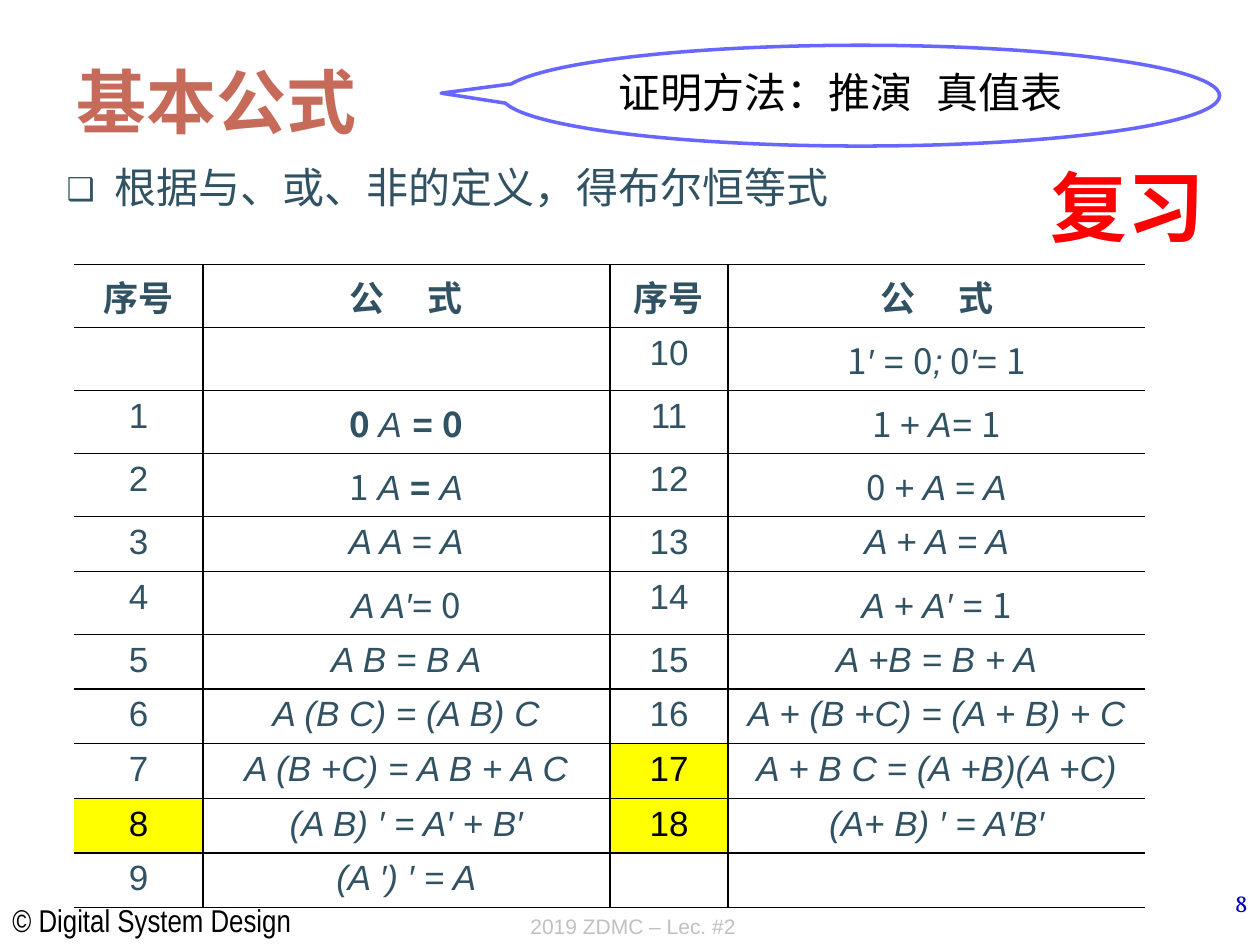
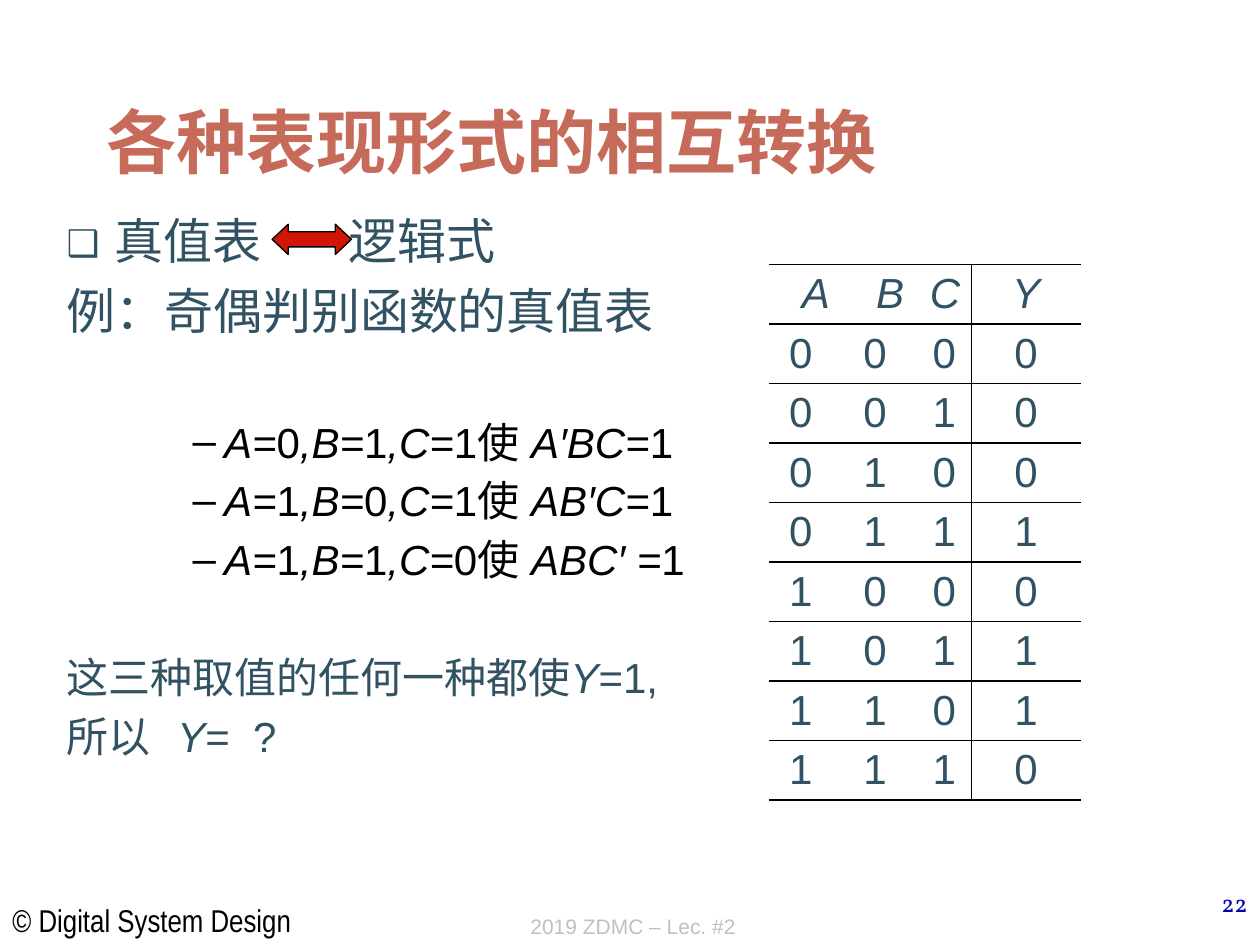
from lxml.etree import SubElement
from pptx import Presentation
from pptx.dml.color import RGBColor
from pptx.enum.shapes import MSO_SHAPE
from pptx.enum.text import MSO_ANCHOR, PP_ALIGN
from pptx.oxml.ns import qn
from pptx.util import Inches, Pt

COLORS = {
    "title": "C66B5A", "body": "315263", "black": "000000", "white": "FFFFFF",
    "footer": "C0C0C0", "number": "0000B6", "callout": "6767FF",
    "review": "FF0000", "arrow": "D01608", "highlight": "FFFF00",
}
CJK_FONT = "Noto Sans CJK SC"


def write_runs(paragraph, markup, size, color, font="Arial", upright_font=None):
    """Add runs: ^ switches bold on and off, _ switches italic inside a bold part."""
    for bold_index, part in enumerate(markup.split("^")):
        for italic_index, text in enumerate(part.split("_")):
            if not text:
                continue
            italic = italic_index % 2 == 1
            name = font if italic else upright_font or font
            run = paragraph.add_run()
            run.text = text
            run.font.size = Pt(size)
            run.font.name = name
            run.font.bold = bold_index % 2 == 1
            run.font.italic = italic
            run.font.color.rgb = RGBColor.from_string(COLORS[color])
            SubElement(run.font._element, qn("a:ea"), typeface=name)


def add_text(slide, box, markup, size, color, font="Arial", align=PP_ALIGN.LEFT,
             anchor=MSO_ANCHOR.TOP, wrap=True):
    shape = slide.shapes.add_textbox(*map(Inches, box))
    shape.text_frame.word_wrap = wrap
    shape.text_frame.vertical_anchor = anchor
    paragraph = shape.text_frame.paragraphs[0]
    paragraph.alignment = align
    write_runs(paragraph, markup, size, color, font)


presentation = Presentation()
presentation.slide_width = Inches(10)
presentation.slide_height = Inches(7.5)
blank = presentation.slide_layouts[6]
formula_slide = presentation.slides.add_slide(blank)
conversion_slide = presentation.slides.add_slide(blank)

# Footers and titles
for slide, number, title, title_box in [
    (formula_slide, "8", "基本公式", (0.51, 0.21, 9, 0.97)),
    (conversion_slide, "22", "各种表现形式的相互转换", (0.75, 0.25, 8.5, 1.25)),
]:
    add_text(slide, (0, 7.1, 2.42, 0.4), "© Digital System Design", 18, "black",
             "Arial Narrow", wrap=False)
    add_text(slide, (7.92, 7, 2.08, 0.5), number, 14, "number", "Vollkorn",
             PP_ALIGN.RIGHT)
    add_text(slide, (2.59, 6.99, 4.87, 0.51), "2019 ZDMC – Lec. #2", 12, "footer",
             align=PP_ALIGN.CENTER, anchor=MSO_ANCHOR.BOTTOM)
    add_text(slide, title_box, f"^{title}^", 40, "title", "Arial Narrow",
             anchor=MSO_ANCHOR.BOTTOM)

# Body text: markup, size, space before, bullet, colour, tab stop
formula_lines = [("根据与、或、非的定义，得布尔恒等式", 24, 0, "❑", "body", None)]
conversion_lines = [
    ("真值表\t逻辑式", 28, 0, "❑", "body", 2.24),
    ("例：奇偶判别函数的真值表", 28, 5.5, None, "body", None),
    ("_A=_0_,B=_1_,C=_1使 _A′BC=_1", 24, 44, "–", "black", None),
    ("_A=_1_,B=_0_,C=_1使 _AB′C=_1", 24, 4.5, "–", "black", None),
    ("_A=_1_,B=_1_,C=_0使 _ABC′ =_1", 24, 4.5, "–", "black", None),
    ("这三种取值的任何一种都使_Y_=1,", 24, 38.5, None, "body", None),
    ("所以\t_Y_=  ?", 24, 4.5, None, "body", 0.98),
]
for slide, box, lines in [
    (formula_slide, (0.43, 1.23, 8.82, 1.02), formula_lines),
    (conversion_slide, (0.43, 1.62, 5.36, 4.57), conversion_lines),
]:
    text_frame = slide.shapes.add_textbox(*map(Inches, box)).text_frame
    text_frame.word_wrap = True
    for index, (markup, size, space, bullet, color, tab_stop) in enumerate(lines):
        paragraph = text_frame.add_paragraph() if index else text_frame.paragraphs[0]
        paragraph.line_spacing = Pt(34 if size == 28 else 29)
        paragraph.space_before = Pt(space)
        left, hanging = (1.25, 0.25) if bullet == "–" else (0.38, 0.38)
        properties = paragraph._p.get_or_add_pPr()
        properties.set("marL", str(Inches(left)))
        properties.set("indent", str(-Inches(hanging)))
        if bullet:
            bullet_color = SubElement(properties, qn("a:buClr"))
            SubElement(bullet_color, qn("a:srgbClr"), val=COLORS[color])
            bullet_size = 75000 if bullet == "❑" else 100000
            SubElement(properties, qn("a:buSzPct"), val=str(bullet_size))
            bullet_font = CJK_FONT if bullet == "❑" else "Arial"
            SubElement(properties, qn("a:buFont"), typeface=bullet_font)
            SubElement(properties, qn("a:buChar"), char=bullet)
        if tab_stop:
            tabs = SubElement(properties, qn("a:tabLst"))
            SubElement(tabs, qn("a:tab"), pos=str(Inches(tab_stop)), algn="l")
        write_runs(paragraph, markup, size, color)

# Callout and review mark
callout = formula_slide.shapes.add_shape(
    MSO_SHAPE.OVAL_CALLOUT, Inches(3.98), Inches(0.36), Inches(5.7), Inches(0.8))
callout.adjustments[0] = -0.584
callout.adjustments[1] = -0.025
callout.text_frame.vertical_anchor = MSO_ANCHOR.TOP
callout.text_frame.paragraphs[0].alignment = PP_ALIGN.LEFT
write_runs(callout.text_frame.paragraphs[0], "证明方法：推演  真值表", 24, "black")
add_text(formula_slide, (8.24, 1.22, 1.44, 0.84), "^复习^", 44, "review", wrap=False)

# Double arrow between the two forms
arrow = conversion_slide.shapes.add_shape(
    MSO_SHAPE.LEFT_RIGHT_ARROW, Inches(2.16), Inches(1.78), Inches(0.63), Inches(0.24))
arrow.adjustments[0] = 0.5
arrow.adjustments[1] = 0.534

for shape, fill, line, width in [(callout, "white", "callout", 2),
                                 (arrow, "arrow", "black", 0.75)]:
    shape.shadow.inherit = False
    shape.fill.solid()
    shape.fill.fore_color.rgb = RGBColor.from_string(COLORS[fill])
    shape.line.color.rgb = RGBColor.from_string(COLORS[line])
    shape.line.width = Pt(width)

# Table contents
formula_rows = [
    ("^序号^", "^公　 式^", "^序号^", "^公　 式^"),
    ("", "", "10", "1_′ = _0_;_ 0_′= _1"),
    ("1", "^0 ^_A_^_ = _0^", "11", "1 _+ A= _1"),
    ("2", "1_ A _^_= _^_A_", "12", "0 _+ A = A_"),
    ("3", "_A A = A_", "13", "_A + A = A_"),
    ("4", "_A A′= _0", "14", "_A + A′ = _1"),
    ("5", "_A B = B A_", "15", "_A +B = B + A_"),
    ("6", "_A (B C) = (A B) C_", "16", "_A + (B +C) = (A + B) + C_"),
    ("7", "_A (B +C) = A B + A C_", "17", "_A + B C = (A +B)(A +C)_"),
    ("8", "_(A B) ′ = A′ + B′_", "18", "_(A+ B) ′ = A′B′_"),
    ("9", "_(A ′) ′ = A_", "", ""),
]
# Rows with upright digits or headings are taller
formula_heights = [0.5 if index in (0, 1, 2, 3, 5) else 0.433 for index in range(11)]

# The header merges the first two columns, the other rows the next two
truth_rows = [("_A_", "", "_B_", "_C_", "_Y_")]
for value in range(8):
    a, b, c = value >> 2, value >> 1 & 1, value & 1
    y = int(a + b + c == 2)
    truth_rows.append((str(a), str(b), "", str(c), str(y)))
truth_heights = [4.25 / 9] * 9

# Tables: rules below every row, upright rules at the listed columns
for slide, left, heights, widths, rows, size, dividers, bottom in [
    (formula_slide, 0.59, formula_heights, (1.02, 3.23, 0.94, 3.31),
     formula_rows, 20, (1, 2, 3), 0.05),
    (conversion_slide, 6.1, truth_heights, (0.51, 0.2, 0.43, 0.43, 0.87),
     truth_rows, 24, (4,), 0.01),
]:
    table = slide.shapes.add_table(
        len(rows), len(widths), Inches(left), Inches(2.1),
        Inches(sum(widths)), Inches(sum(heights))).table
    table.first_row = table.horz_banding = False
    for column, width in zip(table.columns, widths):
        column.width = Inches(width)
    for row_index, row in enumerate(rows):
        table.rows[row_index].height = Inches(heights[row_index])
        for column_index, markup in enumerate(row):
            cell = table.cell(row_index, column_index)
            cell.margin_bottom = Inches(bottom)
            ruled = {"L": column_index in dividers, "R": column_index + 1 in dividers,
                     "T": True, "B": True}
            for side, visible in ruled.items():
                border = SubElement(cell._tc.get_or_add_tcPr(), qn(f"a:ln{side}"),
                                    w=str(Pt(1)))
                if visible:
                    solid = SubElement(border, qn("a:solidFill"))
                    SubElement(solid, qn("a:srgbClr"), val=COLORS["black"])
                else:
                    SubElement(border, qn("a:noFill"))
            highlighted = rows is formula_rows and markup in ("8", "17", "18")
            if highlighted:
                cell.fill.solid()
                cell.fill.fore_color.rgb = RGBColor.from_string(COLORS["highlight"])
            else:
                cell.fill.background()
            is_formula = rows is formula_rows and (row_index == 0 or column_index % 2)
            paragraph = cell.text_frame.paragraphs[0]
            paragraph.alignment = PP_ALIGN.CENTER
            write_runs(paragraph, markup, size, "black" if highlighted else "body",
                       upright_font=CJK_FONT if is_formula else None)
        if rows is truth_rows:
            start = 0 if row_index == 0 else 1
            table.cell(row_index, start).merge(table.cell(row_index, start + 1))

presentation.save("out.pptx")
